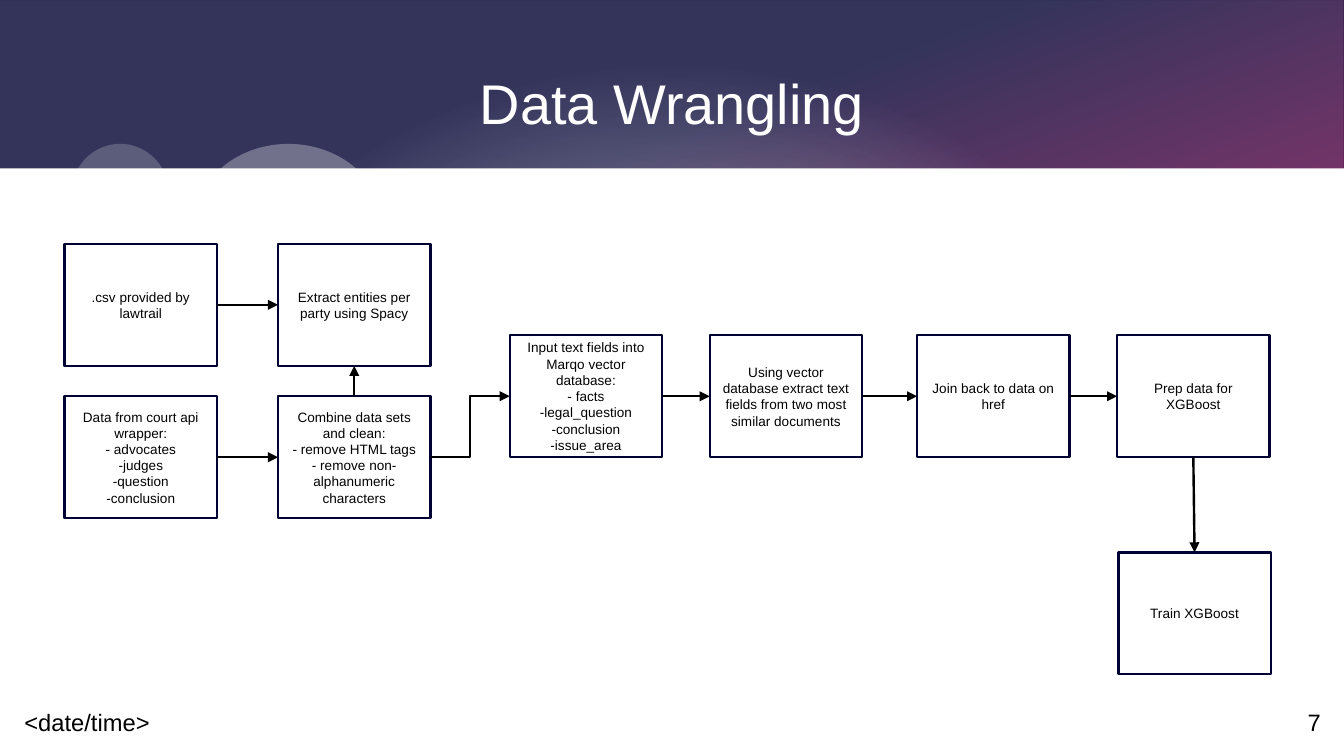
from lxml.etree import SubElement
from pptx import Presentation
from pptx.dml.color import RGBColor
from pptx.enum.shapes import MSO_CONNECTOR, MSO_SHAPE
from pptx.enum.text import MSO_ANCHOR, PP_ALIGN
from pptx.oxml import parse_xml
from pptx.oxml.ns import nsdecls, qn
from pptx.util import Inches, Pt

WIDE, HIGH = 11.02, 6.2
BAND = 1.38
BOX_W, BOX_H = 1.25, 1
TOP, LEFT, BOTTOM, RIGHT = range(4)


def color(code):
    return RGBColor.from_string(code)


class Deck:
    font = "Arial"
    ink = "000000"
    navy = "000032"
    pink = "F60063"
    white = "FFFFFF"
    stroke = 1.42

    def __init__(self):
        self.show = Presentation()
        self.show.slide_width = Inches(WIDE)
        self.show.slide_height = Inches(HIGH)
        self.slide = self.show.slides.add_slide(self.show.slide_layouts[5])

    def shape(self, kind, x, y, w, h):
        item = self.slide.shapes.add_shape(kind, Inches(x), Inches(y), Inches(w), Inches(h))
        item.shadow.inherit = False
        item.line.fill.background()
        return item

    def solid(self, kind, x, y, w, h, alpha=100):
        item = self.shape(kind, x, y, w, h)
        item.fill.solid()
        item.fill.fore_color.rgb = color(self.white)
        if alpha < 100:
            tone = item.element.spPr.find(qn("a:solidFill"))[0]
            SubElement(tone, qn("a:alpha"), val=str(alpha * 1000))
        return item

    def blend(self, stops, way):
        item = self.shape(MSO_SHAPE.RECTANGLE, 0, 0, WIDE, HIGH)
        item.fill.background()
        marks = "".join(
            f'<a:gs pos="{pos * 1000}"><a:srgbClr val="{code}">'
            f'<a:alpha val="{alpha * 1000}"/></a:srgbClr></a:gs>'
            for pos, code, alpha in stops
        )
        grad = parse_xml(
            f'<a:gradFill {nsdecls("a")} rotWithShape="1">'
            f"<a:gsLst>{marks}</a:gsLst>{way}</a:gradFill>"
        )
        props = item.element.spPr
        props.replace(props.find(qn("a:noFill")), grad)

    def text(self, frame, lines, size, code, align, anchor, bare=True):
        frame.word_wrap = True
        frame.vertical_anchor = anchor
        if bare:
            frame.margin_left = frame.margin_right = 0
            frame.margin_top = frame.margin_bottom = 0
        for i, line in enumerate(lines):
            para = frame.add_paragraph() if i else frame.paragraphs[0]
            para.alignment = align
            run = para.add_run()
            run.text = line
            run.font.name = self.font
            run.font.size = Pt(size)
            run.font.color.rgb = color(code)

    def title(self, words):
        head = self.slide.shapes.title
        head.left, head.top = Inches(0.59), Inches(0.3)
        head.width, head.height = Inches(9.84), Inches(1.08)
        self.text(head.text_frame, [words], 33, self.white, PP_ALIGN.CENTER, MSO_ANCHOR.MIDDLE)
        head.element.getparent().append(head.element)

    def label(self, x, words, align):
        note = self.slide.shapes.add_textbox(Inches(x), Inches(5.61), Inches(2.56), Inches(0.43))
        self.text(note.text_frame, [words], 14, self.ink, align, MSO_ANCHOR.BOTTOM)

    def step(self, x, y, *lines):
        box = self.solid(MSO_SHAPE.FLOWCHART_PROCESS, x, y, BOX_W, BOX_H, 70)
        box.line.color.rgb = color(self.navy)
        box.line.width = Pt(self.stroke)
        self.text(box.text_frame, lines, 8, self.ink, PP_ALIGN.CENTER, MSO_ANCHOR.MIDDLE, False)
        return box

    def arrow(self, start, out, end, into, kind=MSO_CONNECTOR.STRAIGHT):
        link = self.slide.shapes.add_connector(kind, 0, 0, 0, 0)
        link.begin_connect(start, out)
        link.end_connect(end, into)
        link.line.color.rgb = color(self.ink)
        link.line.width = Pt(self.stroke)
        props = link.element.spPr
        SubElement(props.find(qn("a:ln")), qn("a:tailEnd"), type="triangle")
        SubElement(props, qn("a:effectLst"))


def main():
    deck = Deck()
    deck.blend(
        [(30, deck.navy, 100), (100, deck.pink, 100)],
        '<a:lin ang="4200000" scaled="0"/>',
    )
    deck.blend(
        [(0, deck.white, 90), (75, deck.white, 20)],
        '<a:path path="circle"><a:fillToRect l="50000" t="85000" r="50000" b="15000"/></a:path>',
    )
    deck.solid(MSO_SHAPE.RECTANGLE, 0, BAND, WIDE, HIGH - BAND)
    deck.solid(MSO_SHAPE.OVAL, 1.58, 1.18, 1.57, 1.38, 30)
    deck.solid(MSO_SHAPE.OVAL, 0.59, 1.18, 0.79, 0.79, 20)
    deck.label(0.2, "<date/time>", PP_ALIGN.LEFT)
    deck.label(8.27, "7", PP_ALIGN.RIGHT)
    deck.title("Data Wrangling")

    table = deck.step(0.53, 2, ".csv provided by lawtrail")
    court = deck.step(
        0.53, 3.25, "Data from court api wrapper:",
        "- advocates", "-judges", "-question", "-conclusion",
    )
    names = deck.step(2.28, 2, "Extract entities per party using Spacy")
    clean = deck.step(
        2.28, 3.25, "Combine data sets and clean:",
        "- remove HTML tags", "- remove non-alphanumeric characters",
    )
    store = deck.step(
        4.18, 2.75, "Input text fields into Marqo vector database:",
        "- facts", "-legal_question", "-conclusion", "-issue_area",
    )
    match = deck.step(
        5.82, 2.75, "Using vector database extract text fields from two most similar documents",
    )
    join = deck.step(7.52, 2.75, "Join back to data on href")
    prep = deck.step(9.16, 2.75, "Prep data for XGBoost")
    train = deck.step(9.17, 4.53, "Train XGBoost")

    for start, end in [(table, names), (court, clean), (store, match), (match, join), (join, prep)]:
        deck.arrow(start, RIGHT, end, LEFT)
    deck.arrow(clean, TOP, names, BOTTOM)
    deck.arrow(clean, RIGHT, store, LEFT, MSO_CONNECTOR.ELBOW)
    deck.arrow(prep, BOTTOM, train, TOP)
    deck.show.save("out.pptx")


if __name__ == "__main__":
    main()
